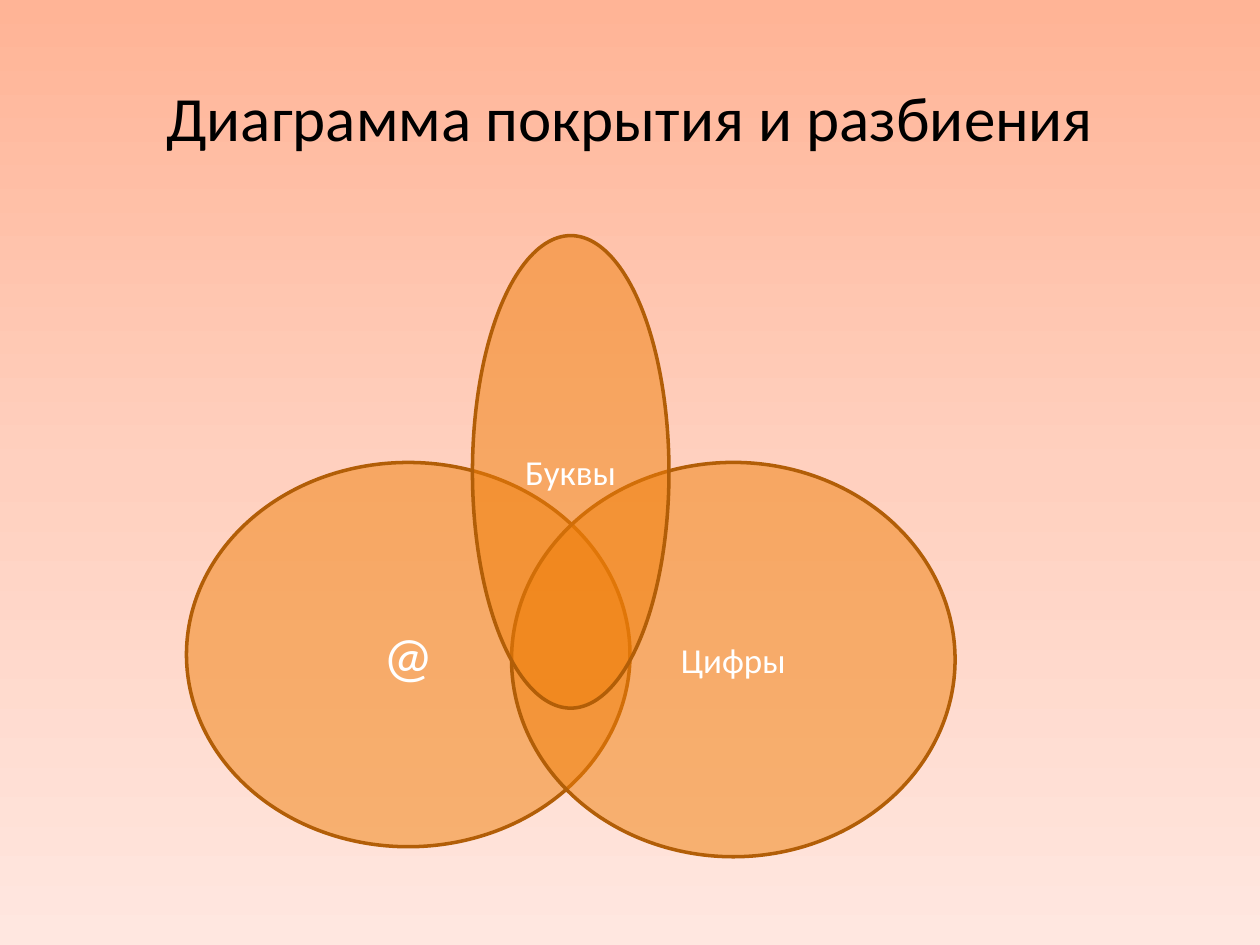
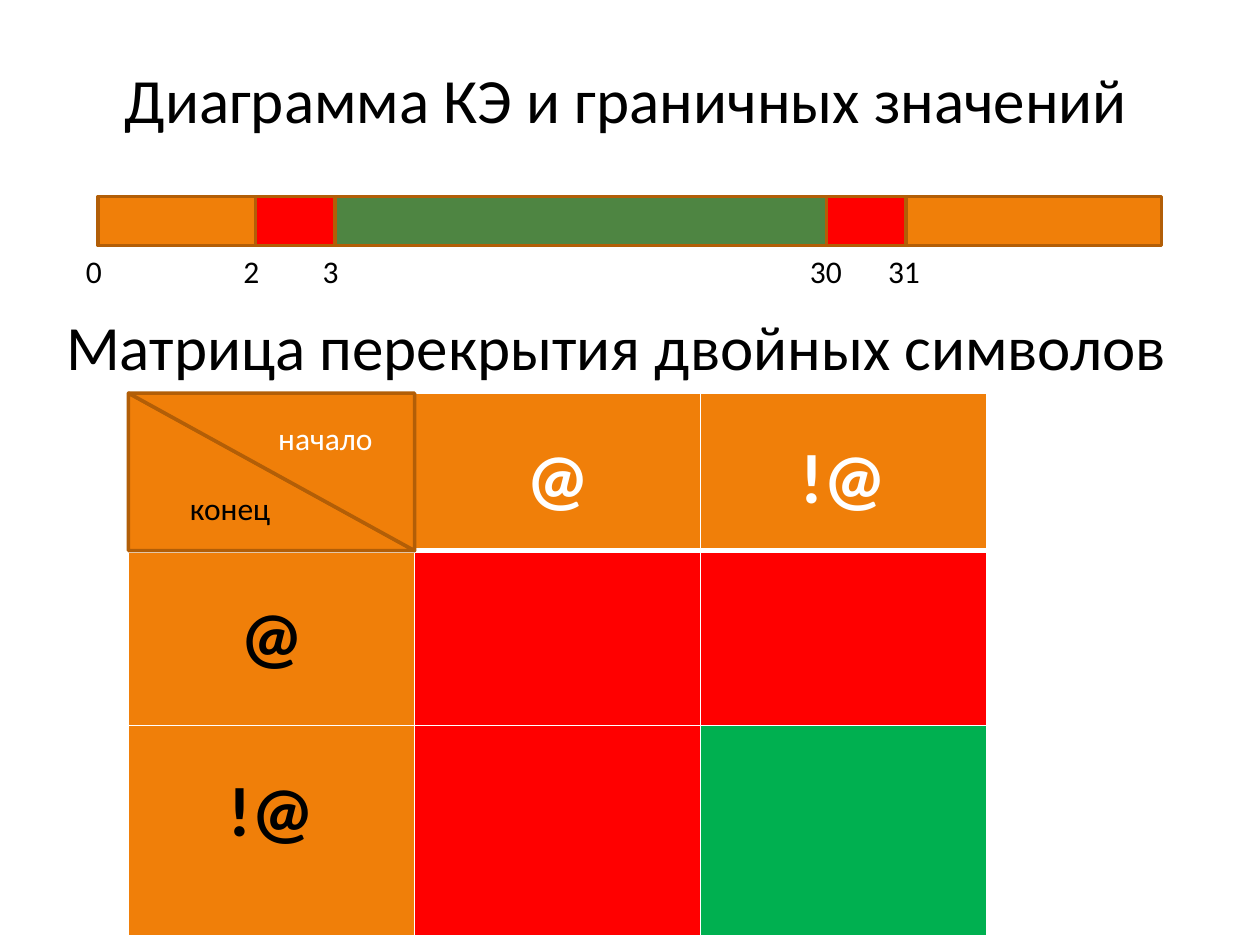
from copy import deepcopy
from dataclasses import dataclass
from typing import Optional

from lxml.etree import SubElement
from pptx import Presentation
from pptx.dml.color import RGBColor
from pptx.enum.shapes import MSO_SHAPE
from pptx.enum.text import MSO_ANCHOR, MSO_AUTO_SIZE, PP_ALIGN
from pptx.oxml.ns import qn
from pptx.presentation import Presentation as Deck
from pptx.shapes.autoshape import Shape
from pptx.slide import Slide
from pptx.table import _Cell
from pptx.text.text import TextFrame
from pptx.util import Inches, Pt


@dataclass(frozen=True)
class Theme:
    font: str = "Calibri"
    black: str = "000000"
    white: str = "FFFFFF"
    orange: str = "F07F09"
    outline: str = "B25E07"
    red: str = "FF0000"
    valid_range: str = "4E8542"
    valid_cell: str = "00B050"
    gradient: tuple[str, ...] = ("FFB496", "FFD0BF", "FFE7E0")
    title_size: int = 36
    symbol_size: int = 32
    matrix_size: int = 40
    word_size: int = 20
    label_size: int = 18
    outline_width: int = 2


@dataclass(frozen=True)
class Box:
    left: float
    top: float
    width: float
    height: float

    def lengths(self) -> tuple[Inches, ...]:
        return tuple(Inches(value) for value in (self.left, self.top, self.width, self.height))


@dataclass(frozen=True)
class SetOval:
    text: str
    box: Box
    size: int


@dataclass(frozen=True)
class Segment:
    start: float
    end: float
    color: str


@dataclass(frozen=True)
class Label:
    text: str
    left: float
    width: float


THEME = Theme()

OVALS = (
    SetOval("@", Box(1.48, 3.67, 3.52, 3.05), THEME.symbol_size),
    SetOval("Цифры", Box(4.06, 3.67, 3.52, 3.13), THEME.word_size),
    SetOval("Буквы", Box(3.75, 1.87, 1.56, 3.75), THEME.word_size),
)

BAR_TOP, BAR_HEIGHT = 1.56, 0.39
SEGMENTS = (
    Segment(0.78, 9.22, THEME.orange),
    Segment(2.03, 2.66, THEME.red),
    Segment(6.56, 7.19, THEME.red),
    Segment(2.66, 6.56, THEME.valid_range),
)
BOUNDARIES = (
    Label("0", 0.62, 0.16),
    Label("2", 1.87, 0.16),
    Label("3", 2.5, 0.16),
    Label("30", 6.33, 0.47),
    Label("31", 6.95, 0.47),
)

SYMBOLS = ("@", "!@")
ROW_HEIGHTS = (1.25, 1.39, 1.67)
CORNER = Box(1.02, 3.12, 2.27, ROW_HEIGHTS[0])


def write(
    frame: TextFrame,
    text: str,
    *,
    size: int,
    color: str = THEME.black,
    bold: bool = False,
    align: PP_ALIGN = PP_ALIGN.CENTER,
    anchor: Optional[MSO_ANCHOR] = None,
) -> None:
    if anchor is not None:
        frame.vertical_anchor = anchor
    paragraph = frame.paragraphs[0]
    paragraph.alignment = align
    run = paragraph.add_run()
    run.text = text
    run.font.name = THEME.font
    run.font.size = Pt(size)
    run.font.bold = bold
    run.font.color.rgb = RGBColor.from_string(color)


def add_titled_slide(presentation: Deck, text: str, box: Box) -> Slide:
    slide = presentation.slides.add_slide(presentation.slide_layouts[5])
    title = slide.shapes.title
    title.left, title.top, title.width, title.height = box.lengths()
    write(title.text_frame, text, size=THEME.title_size, anchor=MSO_ANCHOR.MIDDLE)
    return slide


def add_gradient(slide: Slide) -> None:
    fill = slide.background.fill
    fill.gradient()
    fill.gradient_angle = 270
    stop_list = next(slide.element.iter(qn("a:gsLst")))
    stop_list.append(deepcopy(stop_list[0]))
    last = len(THEME.gradient) - 1
    for index, (stop, color) in enumerate(zip(fill.gradient_stops, THEME.gradient)):
        stop.color.rgb = RGBColor.from_string(color)
        stop.position = index / last


def add_outlined(
    slide: Slide, kind: MSO_SHAPE, box: Box, color: str, opacity: int = 100
) -> Shape:
    shape = slide.shapes.add_shape(kind, *box.lengths())
    shape.shadow.inherit = False
    shape.fill.solid()
    shape.fill.fore_color.rgb = RGBColor.from_string(color)
    if opacity < 100:
        fill_color = shape.fill._xPr.find(qn("a:solidFill"))[0]
        SubElement(fill_color, qn("a:alpha"), val=str(opacity * 1000))
    shape.line.color.rgb = RGBColor.from_string(THEME.outline)
    shape.line.width = Pt(THEME.outline_width)
    return shape


def add_label(
    slide: Slide, text: str, box: Box, color: str = THEME.black, wrap: bool = True
) -> None:
    frame = slide.shapes.add_textbox(*box.lengths()).text_frame
    frame.word_wrap = wrap
    frame.auto_size = MSO_AUTO_SIZE.SHAPE_TO_FIT_TEXT
    write(frame, text, size=THEME.label_size, color=color, align=PP_ALIGN.LEFT)


def format_cell(cell: _Cell, color: str, row: int) -> None:
    properties = cell._tc.get_or_add_tcPr()
    widths = {"L": 1, "R": 1, "T": 3 if row == 1 else 1, "B": 3 if row == 0 else 1}
    for side, width in widths.items():
        border = SubElement(properties, qn(f"a:ln{side}"), w=str(Pt(width)))
        SubElement(SubElement(border, qn("a:solidFill")), qn("a:srgbClr"), val=THEME.white)
    cell.fill.solid()
    cell.fill.fore_color.rgb = RGBColor.from_string(color)


def add_matrix(slide: Slide) -> None:
    count = len(ROW_HEIGHTS)
    box = Box(CORNER.left, CORNER.top, CORNER.width * count, sum(ROW_HEIGHTS))
    table = slide.shapes.add_table(count, count, *box.lengths()).table
    table.horz_banding = False
    for column in table.columns:
        column.width = Inches(CORNER.width)
    for row, height in enumerate(ROW_HEIGHTS):
        table.rows[row].height = Inches(height)
        for column in range(count):
            cell = table.cell(row, column)
            if row == 0 or column == 0:
                color = THEME.orange
            elif row == column == count - 1:
                color = THEME.valid_cell
            else:
                color = THEME.red
            format_cell(cell, color, row)
            if (row == 0) != (column == 0):
                cell.margin_top = Inches(0.35)
                write(
                    cell.text_frame,
                    SYMBOLS[max(row, column) - 1],
                    size=THEME.matrix_size,
                    color=THEME.white if row == 0 else THEME.black,
                    bold=True,
                )


def add_corner(slide: Slide) -> None:
    for rotation in (0, 180):
        triangle = add_outlined(slide, MSO_SHAPE.RIGHT_TRIANGLE, CORNER, THEME.orange)
        triangle.rotation = rotation
    add_label(slide, "начало", Box(2.11, 3.28, 0.96, 0.4), THEME.white, wrap=False)
    add_label(slide, "конец", Box(1.41, 3.83, 0.86, 0.4))


def build_cover_slide(presentation: Deck) -> None:
    slide = add_titled_slide(
        presentation, "Диаграмма покрытия и разбиения", Box(0.5, 0.3, 9, 1.25)
    )
    add_gradient(slide)
    for oval in OVALS:
        shape = add_outlined(slide, MSO_SHAPE.OVAL, oval.box, THEME.orange, opacity=50)
        write(
            shape.text_frame,
            oval.text,
            size=oval.size,
            color=THEME.white,
            anchor=MSO_ANCHOR.MIDDLE,
        )


def build_boundary_slide(presentation: Deck) -> None:
    slide = add_titled_slide(
        presentation, "Диаграмма КЭ и граничных значений", Box(0.47, 0.31, 9, 0.94)
    )
    for segment in SEGMENTS:
        box = Box(segment.start, BAR_TOP, segment.end - segment.start, BAR_HEIGHT)
        add_outlined(slide, MSO_SHAPE.RECTANGLE, box, segment.color)
    for label in BOUNDARIES:
        add_label(slide, label.text, Box(label.left, BAR_TOP + BAR_HEIGHT, label.width, 0.4))
    heading = slide.shapes.add_textbox(*Box(0.39, 2.27, 9, 0.94).lengths()).text_frame
    heading.word_wrap = True
    write(
        heading,
        "Матрица перекрытия двойных символов",
        size=THEME.title_size,
        anchor=MSO_ANCHOR.MIDDLE,
    )
    add_matrix(slide)
    add_corner(slide)


def main() -> None:
    presentation = Presentation()
    presentation.slide_width = Inches(10)
    presentation.slide_height = Inches(7.5)
    build_cover_slide(presentation)
    build_boundary_slide(presentation)
    presentation.save("out.pptx")


main()
